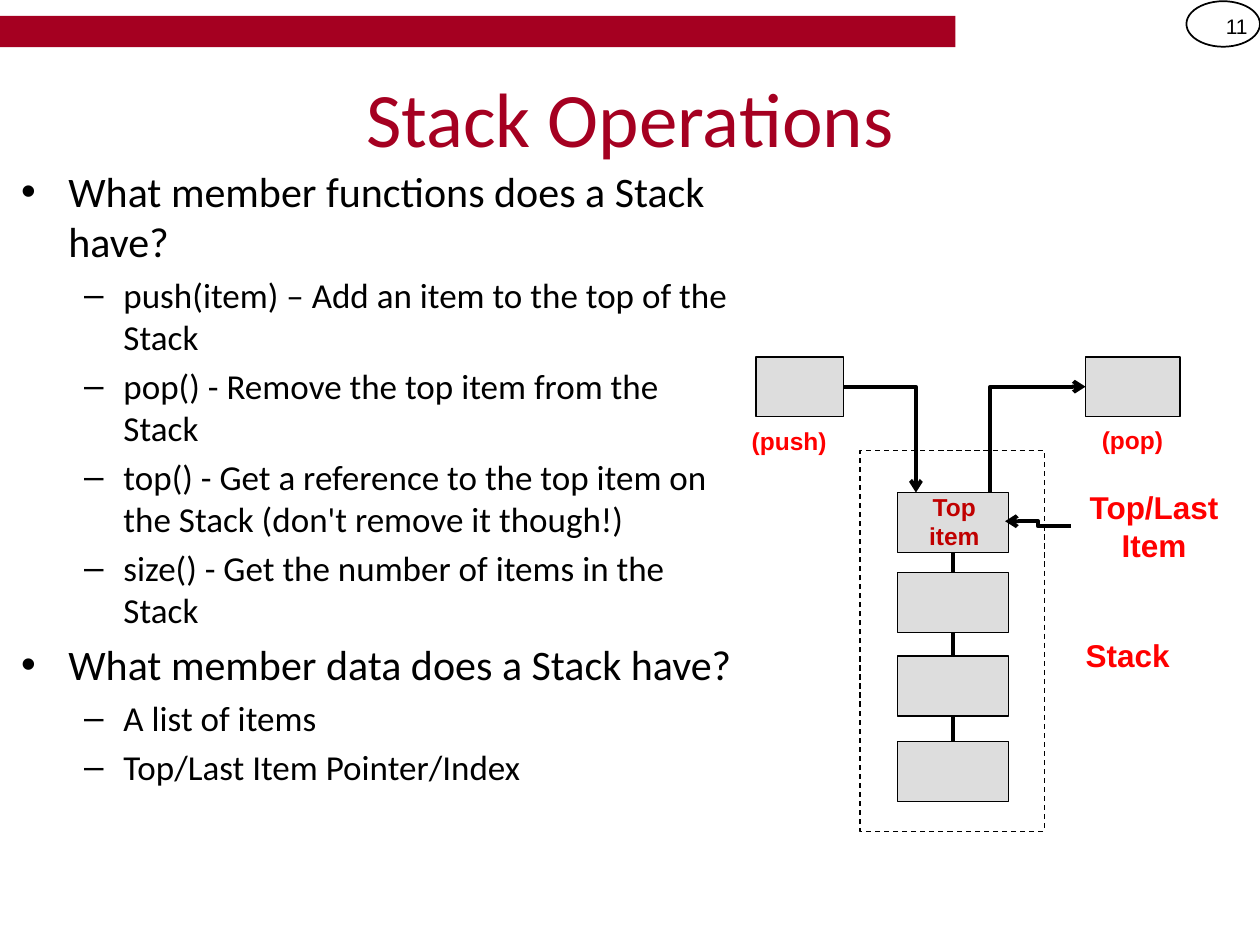
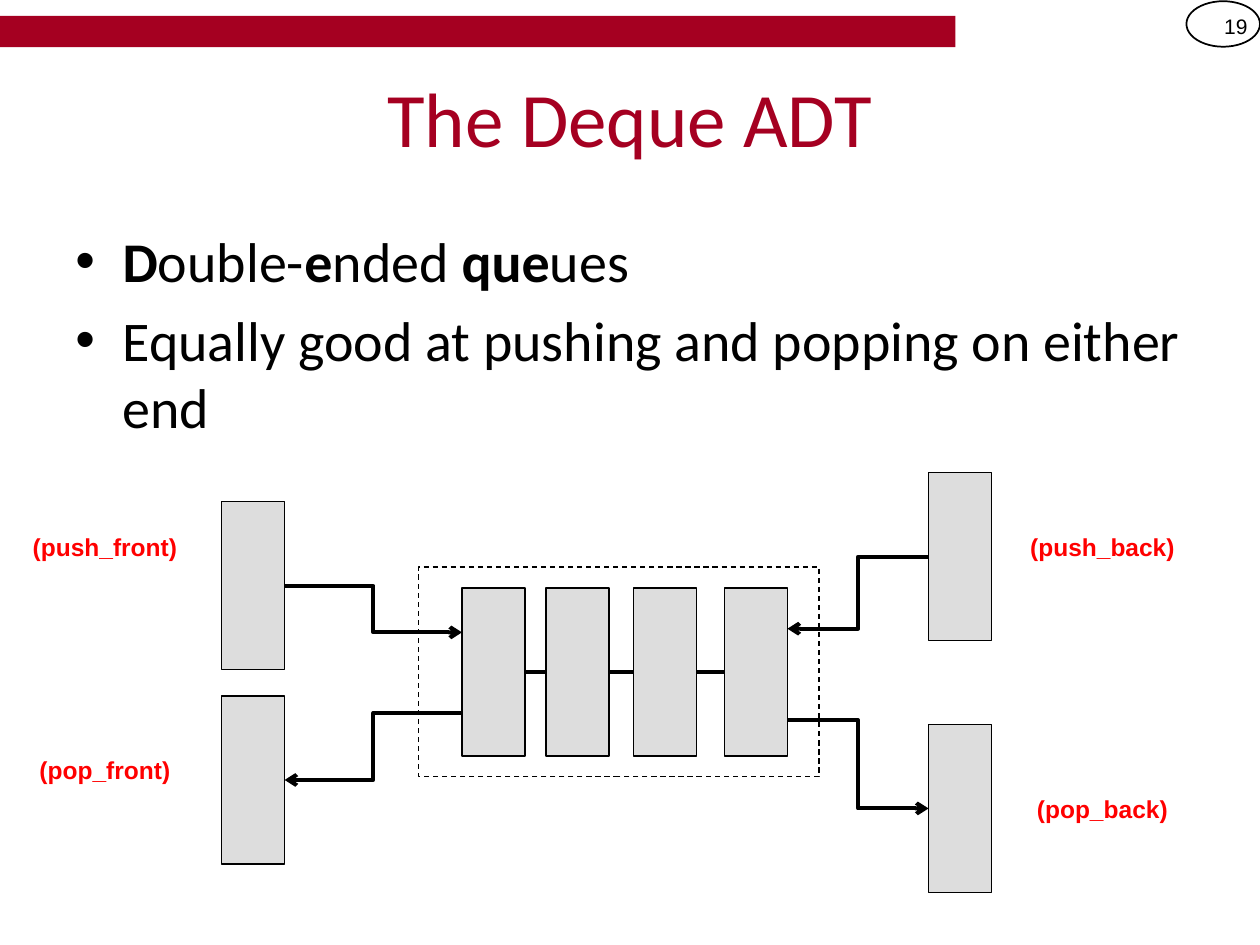
import pptx
import pptx.util
import pptx.dml.color
import pptx.enum.dml
import pptx.enum.shapes
import pptx.enum.text
import pptx.oxml.ns
import lxml.etree

Pt = pptx.util.Pt
SHAPE = pptx.enum.shapes.MSO_SHAPE
CONNECTOR = pptx.enum.shapes.MSO_CONNECTOR
ALIGN = pptx.enum.text.PP_ALIGN
ANCHOR = pptx.enum.text.MSO_ANCHOR
qn = pptx.oxml.ns.qn

COLORS = {"black": "000000", "cardinal": "A50021", "red": "FF0000",
          "dark red": "C00000", "gray": "DDDDDD"}
LEVELS = [("•", 27, 27), ("–", 58.5, 22.5)]

SLIDES = [
    {
        "number": "11",
        "title": "Stack Operations",
        "body": (5, 91, 424, 420),
        "sizes": (24, 20),
        "bullets": [
            (0, "What member functions does a Stack have?"),
            (1, "push(item) – Add an item to the top of the Stack"),
            (1, "pop() - Remove the top item from the Stack"),
            (1, "top() - Get a reference to the top item on the Stack (don't remove it though!)"),
            (1, "size() - Get the number of items in the Stack"),
            (0, "What member data does a Stack have?"),
            (1, "A list of items"),
            (1, "Top/Last Item Pointer/Index"),
        ],
        "chain": [(512.7, top, 63.4, 34.3) for top in (281.4, 327, 374.9, 423.9)],
        "outside": [(432, 204, 50.2, 34), (620.3, 204, 54, 34)],
        "container": (491.5, 257.6, 105.3, 217.4),
        "arrows": [
            [(565.9, 281.5), (565.9, 221), (620.3, 221)],
            [(482.2, 221), (523.4, 221), (523.4, 281.5)],
            [(612, 300.8), (574.4, 297.9)],
        ],
        "labels": [
            ("(pop)", (620.1, 238.3, 54, 25.9), 14, "red"),
            ("(push)", (420, 239.8, 61.9, 23.8), 14, "red"),
            ("Stack", (596.9, 361.4, 95, 25.9), 18, "red"),
            ("Top\nitem", (516.2, 285, 58.3, 25.9), 14, "dark red"),
            ("Top/Last Item", (612, 287.8, 95, 25.9), 18, "red"),
        ],
    },
    {
        "number": "19",
        "title": "The Deque ADT",
        "body": (36, 126, 648, 356),
        "sizes": (32, 28),
        "bullets": [
            (0, "**D**ouble-**e**nded **que**ues"),
            (0, "Equally good at pushing and popping on either end"),
        ],
        "chain": [(left, 336, 36, 96) for left in (264, 312, 362.2, 414)],
        "outside": [(left, top, 36, 96) for left, top in
                    ((530.6, 270), (126.7, 397.7), (530.6, 414), (126.7, 286.6))],
        "container": (239, 324, 229, 119.8),
        "arrows": [
            [(530.6, 318.2), (450, 359.3)],
            [(264, 407.5), (162.7, 445.7)],
            [(450, 411.6), (530.6, 462)],
            [(162.7, 334.8), (264, 361.4)],
        ],
        "labels": [
            ("(push_back)", (576, 298.8, 108, 27), 14, "red"),
            ("(push_front)", (6, 298.8, 108, 27), 14, "red"),
            ("(pop_front)", (6, 426.2, 108, 27), 14, "red"),
            ("(pop_back)", (576, 448.6, 108, 27), 14, "red"),
        ],
    },
]


def points(values):
    return [Pt(value) for value in values]


def rgb(name):
    return pptx.dml.color.RGBColor.from_string(COLORS[name])


def add_text(frame, text, first=True, size=14, font="Arial", color="black",
             bold=False, align=ALIGN.LEFT, level=None):
    para = frame.paragraphs[0] if first else frame.add_paragraph()
    para.alignment = align
    if level is not None:
        mark, indent, hanging = LEVELS[level]
        properties = para._p.get_or_add_pPr()
        properties.set("marL", str(Pt(indent)))
        properties.set("indent", str(-Pt(hanging)))
        lxml.etree.SubElement(properties, qn("a:buFont")).set("typeface", "Arial")
        lxml.etree.SubElement(properties, qn("a:buChar")).set("char", mark)
        if not first:
            para.space_before = Pt(size * 0.2)
    for index, part in enumerate(text.split("**")):
        for row, line in enumerate(part.split("\n")):
            if row:
                para.add_line_break()
            if line:
                span = para.add_run()
                span.text = line
                span.font.size = Pt(size)
                span.font.name = font
                span.font.bold = bold or index % 2 == 1
                span.font.color.rgb = rgb(color)


def add_frame(page, area, anchor=ANCHOR.MIDDLE):
    frame = page.shapes.add_textbox(*points(area)).text_frame
    frame.word_wrap = True
    frame.vertical_anchor = anchor
    return frame


def paint(shape, fill=None, line="black", width=0.75):
    shape.shadow.inherit = False
    if fill:
        shape.fill.solid()
        shape.fill.fore_color.rgb = rgb(fill)
    else:
        shape.fill.background()
    if line:
        shape.line.color.rgb = rgb(line)
        shape.line.width = Pt(width)
    else:
        shape.line.fill.background()


def add_box(page, area, kind=SHAPE.RECTANGLE, **style):
    box = page.shapes.add_shape(kind, *points(area))
    paint(box, **style)
    return box


def add_line(page, start, end, kind=CONNECTOR.STRAIGHT):
    line = page.shapes.add_connector(kind, *points(start + end))
    line.line.color.rgb = rgb("black")
    line.line.width = Pt(2.25)
    lxml.etree.SubElement(line._element.spPr, qn("a:effectLst"))
    return line


def add_arrow(page, route):
    if len(route) == 2:
        arrow = add_line(page, *route, kind=CONNECTOR.ELBOW)
    else:
        builder = page.shapes.build_freeform(*points(route[0]))
        builder.add_line_segments([points(point) for point in route[1:]], close=False)
        arrow = builder.convert_to_shape()
        paint(arrow, width=2.25)
    outline = arrow.line._get_or_add_ln()
    lxml.etree.SubElement(outline, qn("a:tailEnd")).set("type", "arrow")


def link_chain(page, chain):
    for (left, top, width, height), (next_left, next_top, _, _) in zip(chain, chain[1:]):
        if left == next_left:
            middle = left + width / 2
            add_line(page, (middle, top + height), (middle, next_top))
        else:
            middle = top + height / 2
            add_line(page, (left + width, middle), (next_left, middle))


def add_common(page, number, title):
    add_text(add_frame(page, (678, 0.5, 42, 28.5)), number, size=12, align=ALIGN.RIGHT)
    add_box(page, (0, 9, 546, 18), fill="cardinal", line=None)
    add_box(page, (678, 0.7, 42, 26), kind=SHAPE.OVAL, width=1)
    add_text(add_frame(page, (36, 21.6, 648, 90)), title, size=44,
             font="Calibri", color="cardinal", align=ALIGN.CENTER)


def build_slide(deck, content):
    page = deck.slides.add_slide(deck.slide_layouts[6])
    add_common(page, content["number"], content["title"])
    body = add_frame(page, content["body"], ANCHOR.TOP)
    for index, (level, text) in enumerate(content["bullets"]):
        add_text(body, text, first=index == 0, level=level,
                 size=content["sizes"][level], font="Calibri")
    for area in content["chain"] + content["outside"]:
        add_box(page, area, fill="gray")
    link_chain(page, content["chain"])
    container = add_box(page, content["container"])
    container.line.dash_style = pptx.enum.dml.MSO_LINE.DASH
    for route in content["arrows"]:
        add_arrow(page, route)
    for text, area, size, color in content["labels"]:
        add_text(add_frame(page, area), text, size=size, color=color,
                 bold=True, align=ALIGN.CENTER)


def main():
    deck = pptx.Presentation()
    deck.slide_width, deck.slide_height = Pt(720), Pt(540)
    for content in SLIDES:
        build_slide(deck, content)
    deck.save("out.pptx")


if __name__ == "__main__":
    main()
